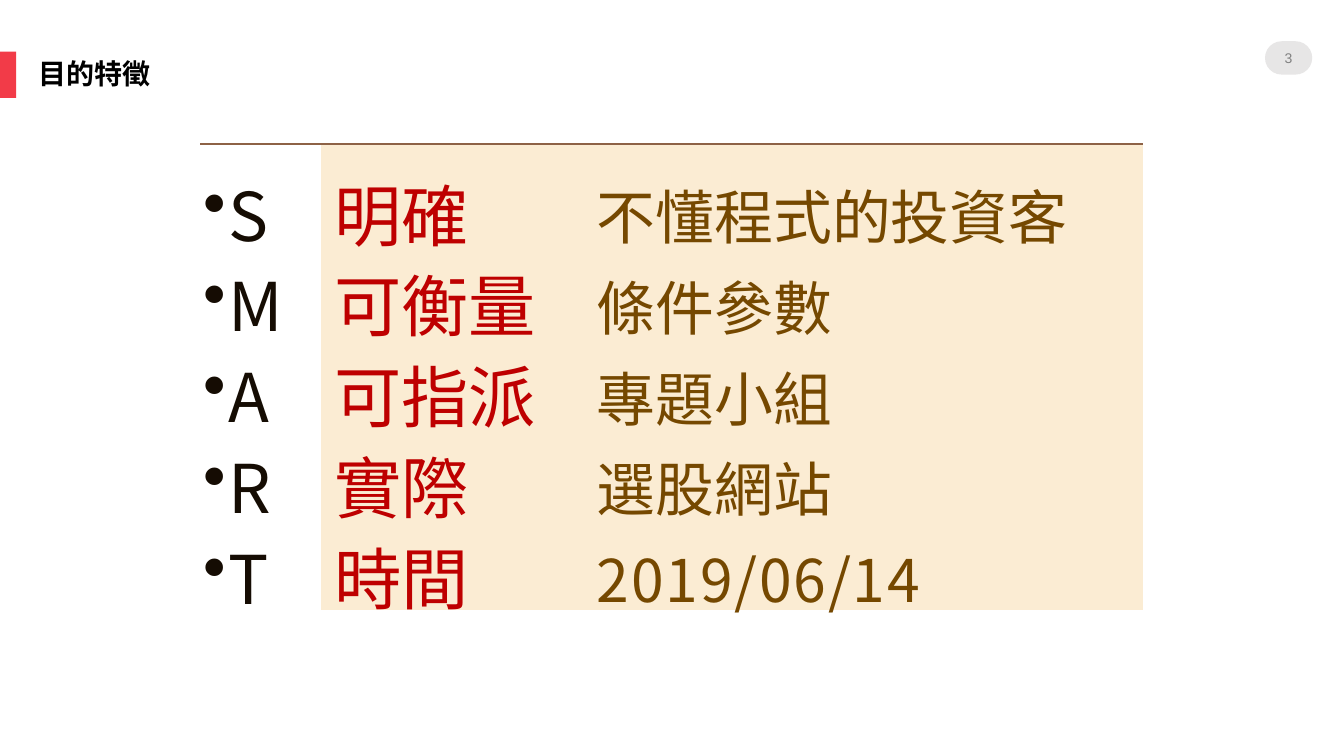
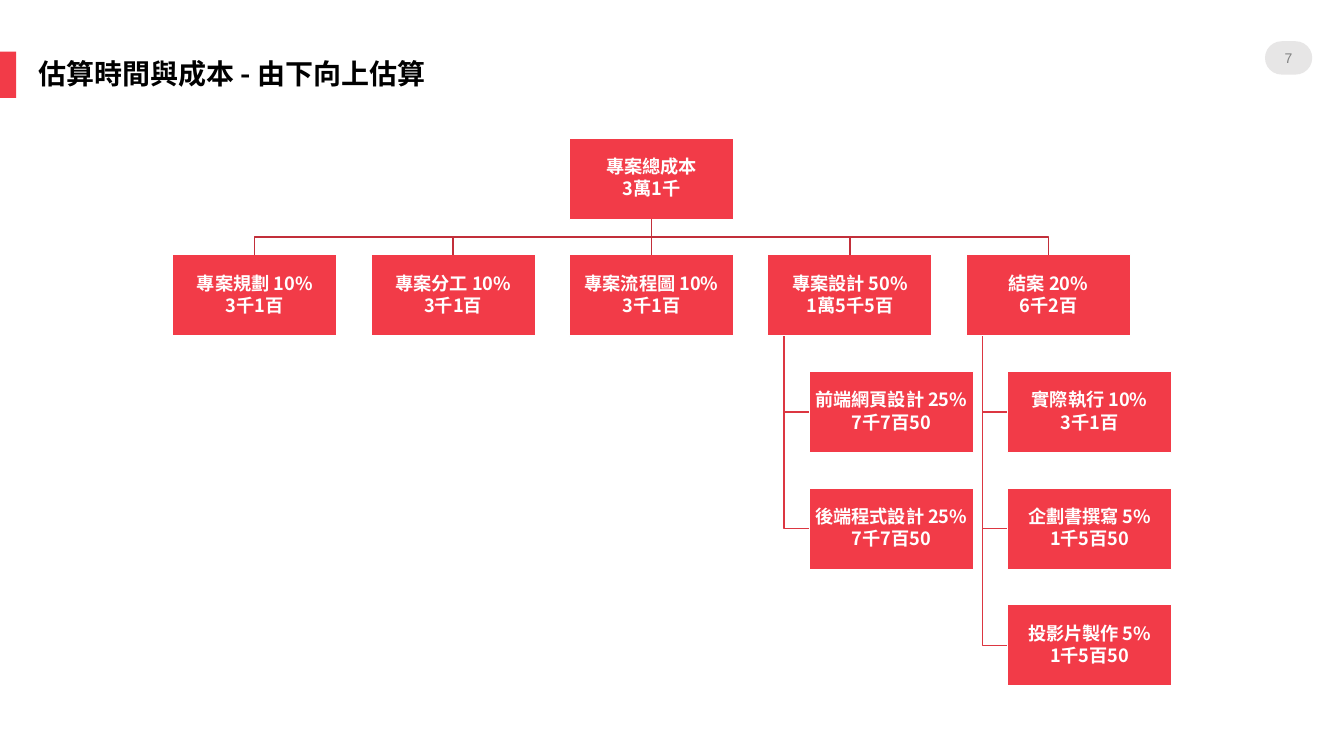
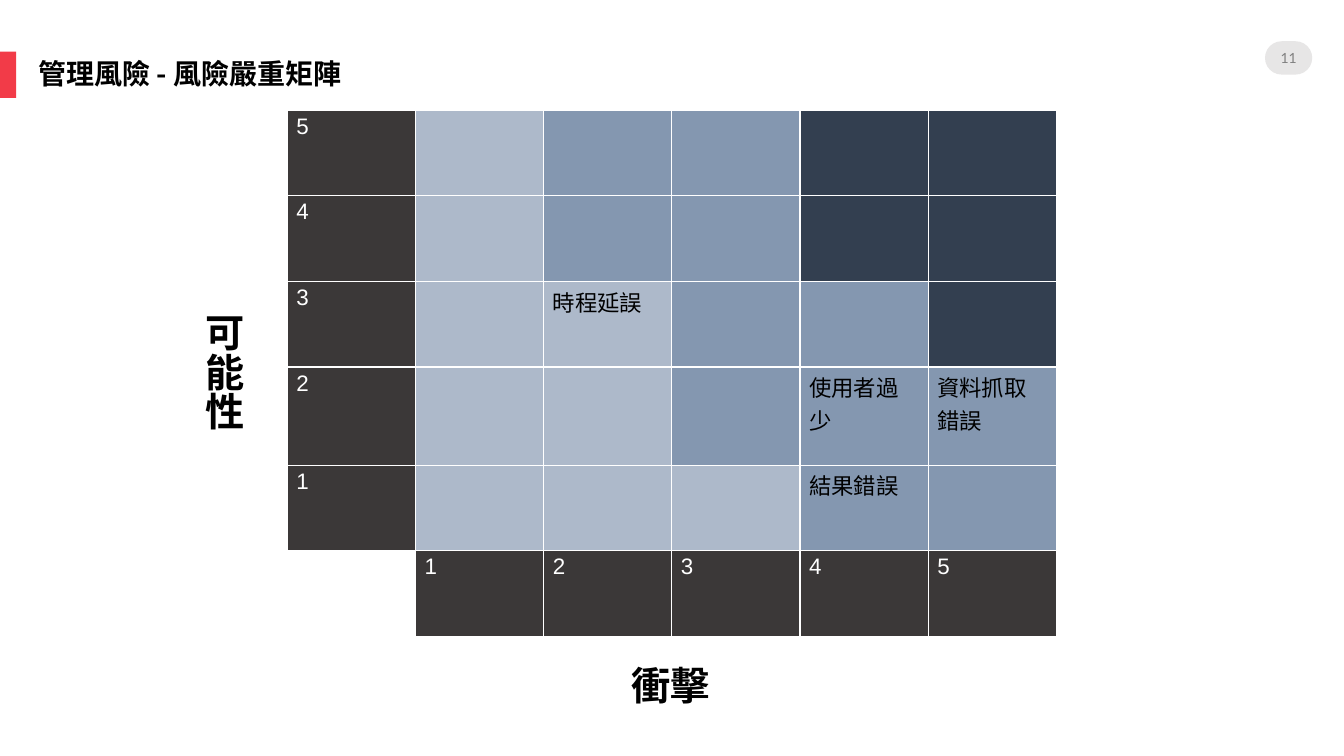
from dataclasses import dataclass

from lxml.etree import SubElement
from pptx import Presentation
from pptx.dml.color import RGBColor
from pptx.enum.shapes import MSO_CONNECTOR, MSO_SHAPE
from pptx.enum.text import MSO_ANCHOR, MSO_AUTO_SIZE, PP_ALIGN
from pptx.oxml.ns import qn
from pptx.util import Cm, Pt


@dataclass(frozen=True)
class Theme:
    red: str = "F23B48"
    branch_line: str = "C22F3A"
    leaf_line: str = "DC3641"
    badge: str = "E7E6E6"
    badge_text: str = "808080"
    black: str = "000000"
    white: str = "FFFFFF"
    cream: str = "FBECD3"
    rule: str = "8D6246"
    letter: str = "150C03"
    keyword: str = "BE0000"
    answer: str = "754800"
    axis: str = "3B3838"
    low: str = "ADB9CA"
    medium: str = "8497B0"
    high: str = "333F50"
    cjk: str = "Noto Sans CJK SC"
    latin: str = "Arial"
    number_size: int = 10
    box_size: int = 13
    cell_size: int = 16
    title_size: int = 20
    axis_size: int = 28
    answer_size: int = 42
    keyword_size: int = 48


THEME = Theme()
NO_STYLE = "{2D5ABB26-0587-4C30-8999-92F81FD0307C}"

GOALS = [
    ("S", "明確", "不懂程式的投資客"),
    ("M", "可衡量", "條件參數"),
    ("A", "可指派", "專題小組"),
    ("R", "實際", "選股網站"),
    ("T", "時間", "2019/06/14"),
]

TOTAL = ("專案總成本", "3萬1千")
COSTS = [
    (("專案規劃 10%", "3千1百"), []),
    (("專案分工 10%", "3千1百"), []),
    (("專案流程圖 10%", "3千1百"), []),
    (("專案設計 50%", "1萬5千5百"),
     [("前端網頁設計 25%", "7千7百50"), ("後端程式設計 25%", "7千7百50")]),
    (("結案 20%", "6千2百"),
     [("實際執行 10%", "3千1百"), ("企劃書撰寫 5%", "1千5百50"),
      ("投影片製作 5%", "1千5百50")]),
]

LEVELS = {"L": THEME.low, "M": THEME.medium, "H": THEME.high}
RISK_LEVELS = {5: "LMMHH", 4: "LMMHH", 3: "LLMMH", 2: "LLMMM", 1: "LLLMM"}
RISKS = {  # (likelihood, impact)
    (3, 2): "時程延誤",
    (2, 4): "使用者過少",
    (2, 5): "資料抓取錯誤",
    (1, 4): "結果錯誤",
}


def rgb(value):
    return RGBColor.from_string(value)


def style(para, size, color, name=THEME.cjk, bold=False, tracking=None):
    font = para.font
    font.size, font.bold, font.name = Pt(size), bold, name
    font.color.rgb = rgb(color)
    SubElement(font._rPr, qn("a:ea"), typeface=THEME.cjk)
    if tracking:
        font._rPr.set("spc", str(tracking))


def add_block(page, left, top, width, height, fill,
              kind=MSO_SHAPE.RECTANGLE, line=None):
    block = page.shapes.add_shape(kind, left, top, width, height)
    block.shadow.inherit = False
    block.fill.solid()
    block.fill.fore_color.rgb = rgb(fill)
    if line:
        block.line.color.rgb = rgb(line)
        block.line.width = Pt(1)
    else:
        block.line.fill.background()
    return block


def set_margins(target, left, top, right, bottom):
    target.margin_left, target.margin_top = left, top
    target.margin_right, target.margin_bottom = right, bottom


def add_label(page, text, left, top, width, height, size):
    box = page.shapes.add_textbox(left, top, width, height)
    frame = box.text_frame
    frame.word_wrap = True
    frame.text = text
    style(frame.paragraphs[0], size, THEME.black, bold=True)
    return frame


def add_page(deck, title, number, number_font=THEME.latin):
    """Blank page with the red tab, the title and the page-number badge."""
    page = deck.slides.add_slide(deck.slide_layouts[6])
    add_block(page, 0, Cm(1.3), Cm(0.41), Cm(1.17), THEME.red)
    badge = add_block(page, Cm(31.88), Cm(1.04), Cm(1.19), Cm(0.84),
                      THEME.badge, MSO_SHAPE.ROUNDED_RECTANGLE)
    badge.adjustments[0] = 0.5
    frame = badge.text_frame
    set_margins(frame, 0, 0, 0, 0)
    frame.vertical_anchor = MSO_ANCHOR.MIDDLE
    frame.text = str(number)
    frame.paragraphs[0].alignment = PP_ALIGN.CENTER
    style(frame.paragraphs[0], THEME.number_size, THEME.badge_text, number_font)

    heading = add_label(page, title, Cm(0.71), Cm(1.4), Cm(10.6), Cm(1.17),
                        THEME.title_size)
    heading.paragraphs[0].line_spacing = 0.9
    return page


def add_grid(page, left, top, columns, rows):
    """Table without any built-in style."""
    frame = page.shapes.add_table(len(rows), len(columns), left, top,
                                  sum(columns), sum(rows))
    table = frame.table
    table.first_row = table.horz_banding = False
    table._tbl.tblPr.find(qn("a:tableStyleId")).text = NO_STYLE
    for column, width in zip(table.columns, columns):
        column.width = width
    for row, height in zip(table.rows, rows):
        row.height = height
    return table


def paint_cell(cell, fill=None, border=None, sides="LRTB"):
    for side in sides if border else "":
        line = SubElement(cell._tc.get_or_add_tcPr(), qn(f"a:ln{side}"),
                          w=str(Pt(1)))
        solid = SubElement(line, qn("a:solidFill"))
        SubElement(solid, qn("a:srgbClr"), val=border)
    if fill:
        cell.fill.solid()
        cell.fill.fore_color.rgb = rgb(fill)
    else:
        cell.fill.background()


def goals_page(deck):
    page = add_page(deck, "目的特徵", 3)
    columns = [Cm(3.05), Cm(6.3), Cm(14.4)]
    rows = [Cm(2.67), Cm(2.29), Cm(2.29), Cm(2.29), Cm(2.21)]
    table = add_grid(page, Cm(5.05), Cm(3.63), columns, rows)
    looks = [  # fill, size, colour, left indent, extra top margin
        (None, THEME.keyword_size, THEME.letter, Cm(0.71), 0),
        (THEME.cream, THEME.keyword_size, THEME.keyword, Cm(0.33), 0),
        (THEME.cream, THEME.answer_size, THEME.answer, Cm(0.64), Cm(0.2)),
    ]
    for row, goal in enumerate(GOALS):
        top = Cm(0.1) if row else Cm(0.48)
        for column, (text, look) in enumerate(zip(goal, looks)):
            fill, size, color, indent, extra = look
            cell = table.cell(row, column)
            paint_cell(cell, fill, None if row else THEME.rule, "T")
            # The deep line of the large type may pass the row's lower edge.
            set_margins(cell, 0, top + extra, 0, Cm(-0.4))
            cell.text = text
            para = cell.text_frame.paragraphs[0]
            properties = para._p.get_or_add_pPr()
            properties.set("marL", str(indent))
            if column == 0:
                properties.set("indent", str(Cm(-0.64)))
                SubElement(properties, qn("a:buChar"), char="•")
            style(para, size, color, tracking=130 if text[0].isdigit() else None)


def add_cost_box(page, lines, left, top, width, height):
    box = add_block(page, left, top, width, height, THEME.red, line=THEME.white)
    frame = box.text_frame
    frame.word_wrap = True
    frame.vertical_anchor = MSO_ANCHOR.MIDDLE
    set_margins(frame, *[Cm(0.03)] * 4)
    frame.text = "\n".join(lines)
    for para in frame.paragraphs:
        para.alignment = PP_ALIGN.CENTER
        para.line_spacing = 0.9
        para.space_after = Pt(2)
        style(para, THEME.box_size, THEME.white, bold=True)
    return box


def add_path(page, points, color):
    builder = page.shapes.build_freeform(*points[0])
    builder.add_line_segments(points[1:], close=False)
    path = builder.convert_to_shape()
    path.shadow.inherit = False
    path.fill.background()
    path.line.color.rgb = rgb(color)
    path.line.width = Pt(1)


def join_straight(page, upper, lower, color):
    link = page.shapes.add_connector(MSO_CONNECTOR.STRAIGHT, 0, 0, 0, 0)
    link.begin_connect(upper, 2)
    link.end_connect(lower, 0)
    link.line.color.rgb = rgb(color)
    link.line.width = Pt(1)
    SubElement(link._element.spPr, qn("a:effectLst"))


def costs_page(deck):
    page = add_page(deck, "估算時間與成本 - 由下向上估算", 7)
    left, top, width, height = Cm(4.35), Cm(3.48), Cm(4.14), Cm(2.05)
    step_x, step_y = Cm(5), Cm(2.94)
    child_indent, trunk_indent = Cm(1.04), Cm(0.41)
    middle = len(COSTS) // 2
    root = add_cost_box(page, TOTAL, left + middle * step_x, top, width, height)
    root_x, root_bottom = root.left + width // 2, top + height
    branch_top = top + step_y
    bus_y = (root_bottom + branch_top) // 2

    for column, (lines, children) in enumerate(COSTS):
        x = left + column * step_x
        branch = add_cost_box(page, lines, x, branch_top, width, height)
        if column == middle:
            join_straight(page, root, branch, THEME.branch_line)
        else:
            center = x + width // 2
            add_path(page, [(root_x, root_bottom), (root_x, bus_y),
                            (center, bus_y), (center, branch_top)],
                     THEME.branch_line)
        for level, child in enumerate(children, start=1):
            y = branch_top + level * step_y
            add_cost_box(page, child, x + child_indent, y, width, height)
            trunk, center_y = x + trunk_indent, y + height // 2
            add_path(page, [(trunk, branch_top + height), (trunk, center_y),
                            (x + child_indent, center_y)], THEME.leaf_line)


def risks_page(deck):
    page = add_page(deck, "管理風險 - 風險嚴重矩陣", 11, "Lato")
    rows = [Cm(2.16)] * 6
    rows[3] = Cm(2.47)
    table = add_grid(page, Cm(7.24), Cm(2.77), [Cm(3.23)] * 6, rows)

    def fill_cell(row, column, text, fill, color):
        cell = table.cell(row, column)
        paint_cell(cell, fill, THEME.white)
        set_margins(cell, Cm(0.23), Cm(0.1), Cm(0.23), Cm(0.1))
        cell.text = text
        style(cell.text_frame.paragraphs[0], THEME.cell_size, color, THEME.latin)

    for row, (likelihood, levels) in enumerate(RISK_LEVELS.items()):
        fill_cell(row, 0, str(likelihood), THEME.axis, THEME.white)
        for impact, level in enumerate(levels, start=1):
            fill_cell(row, impact, RISKS.get((likelihood, impact), ""),
                      LEVELS[level], THEME.black)
    fill_cell(5, 0, "", None, THEME.black)
    for impact in range(1, 6):
        fill_cell(5, impact, str(impact), THEME.axis, THEME.white)

    vertical = add_label(page, "可能性", Cm(4.65), Cm(7.65), Cm(1.7), Cm(3.25),
                         THEME.axis_size)
    vertical._txBody.bodyPr.set("vert", "eaVert")
    horizontal = add_label(page, "衝擊", Cm(15.67), Cm(16.54), Cm(2.51), Cm(1.45),
                           THEME.axis_size)
    for frame in (vertical, horizontal):
        frame.word_wrap = False
        frame.auto_size = MSO_AUTO_SIZE.SHAPE_TO_FIT_TEXT


def main():
    deck = Presentation()
    deck.slide_width, deck.slide_height = Cm(33.87), Cm(19.05)
    goals_page(deck)
    costs_page(deck)
    risks_page(deck)
    deck.save("out.pptx")


if __name__ == "__main__":
    main()
